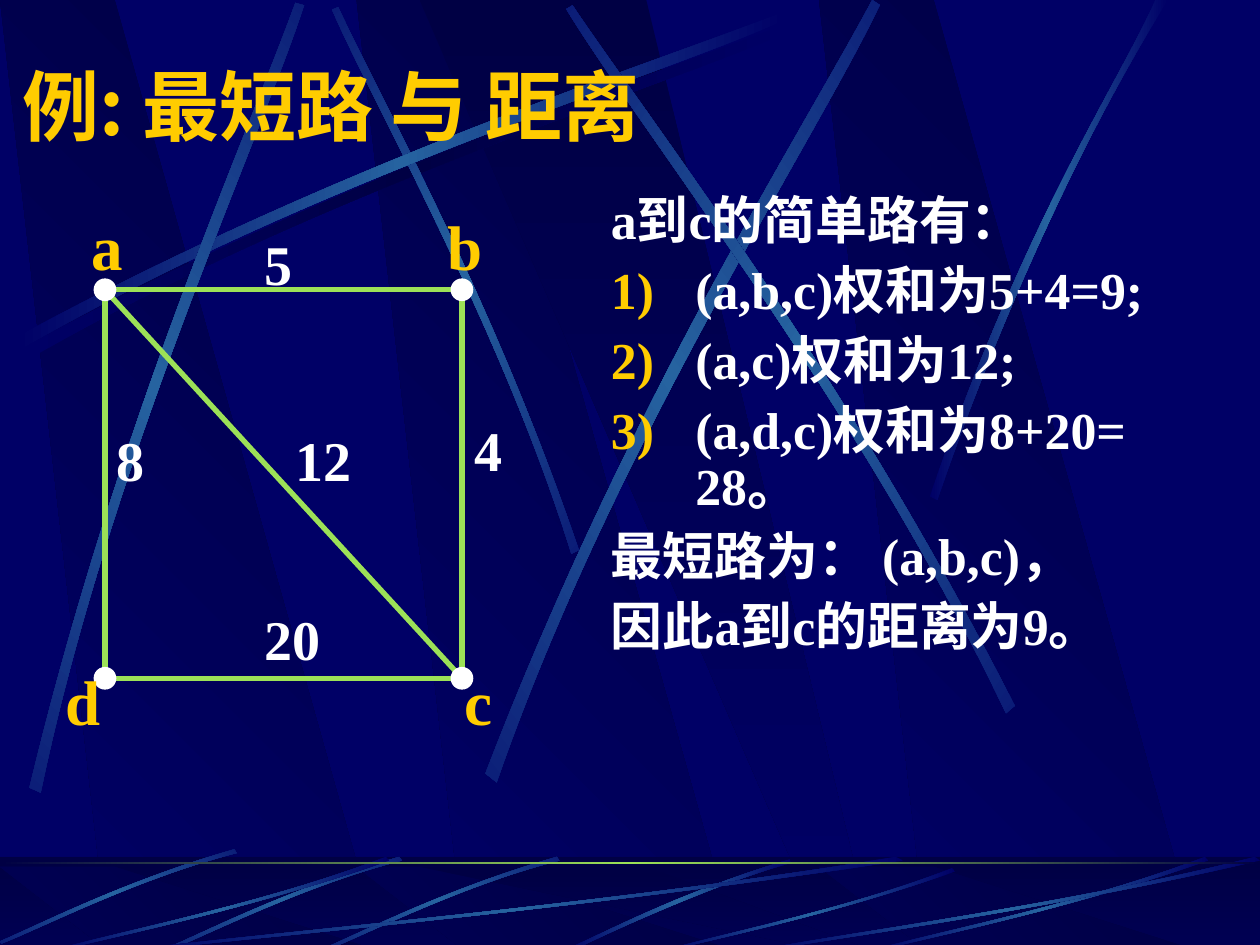
from math import cos, radians, sin

from lxml import etree
from pptx import Presentation
from pptx.dml.color import RGBColor
from pptx.enum.shapes import MSO_CONNECTOR, MSO_SHAPE
from pptx.enum.text import MSO_ANCHOR, MSO_AUTO_SIZE, PP_ALIGN
from pptx.oxml.ns import qn
from pptx.util import Cm, Pt

RECT, OVAL = MSO_SHAPE.RECTANGLE, MSO_SHAPE.OVAL
LINE = MSO_CONNECTOR.STRAIGHT
LEFT, MIDDLE = PP_ALIGN.LEFT, MSO_ANCHOR.MIDDLE
FIXED, GROW = MSO_AUTO_SIZE.NONE, MSO_AUTO_SIZE.SHAPE_TO_FIT_TEXT

HUE = {"base": "000066", "dark": "000044", "ray": "2663A0",
       "lime": "9CE157", "gold": "FFCC00", "white": "FFFFFF"}
SERIF, SANS = "Times New Roman", "Noto Sans CJK SC"
SHADE = ("dark", "base")
GLOW = ("base", "ray", "base")


def cm(inch):
    """Length on the slide's inch grid."""
    return Cm(inch * 2.54)


def turn(dot, hub, angle):
    x, y = dot[0] - hub[0], dot[1] - hub[1]
    c, s = cos(radians(angle)), sin(radians(angle))
    return hub[0] + x * c - y * s, hub[1] + x * s + y * c


class Deck:
    def __init__(self):
        self.prs = Presentation()
        self.prs.slide_width, self.prs.slide_height = cm(10), cm(7.5)
        self.slide = self.prs.slides.add_slide(self.prs.slide_layouts[5])
        self.shapes = self.slide.shapes
        self.flood(self.prs.slide_master.background.fill, "base")

    def flood(self, fill, hue):
        fill.solid()
        fill.fore_color.rgb = RGBColor.from_string(HUE[hue])

    def blend(self, shape, hues, angle):
        shape.shadow.inherit = False
        shape.line.fill.background()
        shape.fill.gradient()
        shape.fill.gradient_angle = 360 - angle
        stops = shape._element.spPr.find(".//" + qn("a:gsLst"))
        for old in list(stops):
            stops.remove(old)
        for i, hue in enumerate(hues):
            pos = str(100000 * i // (len(hues) - 1))
            stop = etree.SubElement(stops, qn("a:gs"), pos=pos)
            etree.SubElement(stop, qn("a:srgbClr"), val=HUE[hue])

    def free(self, dots, hues, angle):
        dots = [(cm(x), cm(y)) for x, y in dots]
        form = self.shapes.build_freeform(*dots[0])
        form.add_line_segments(dots[1:], close=True)
        shape = form.convert_to_shape()
        self.blend(shape, hues, angle)
        return shape

    def streak(self, dots, hues=GLOW, hub=(0, 0), angle=0):
        """A thin sliver between two curves of four points each."""
        shape = self.free([turn(dot, hub, -angle) for dot in dots], hues, 180)
        shape.rotation = angle
        legs = list(shape._element.iter(qn("a:lnTo")))
        for trio in (legs[:3], legs[4:7]):  # three legs become one curve
            bend = etree.Element(qn("a:cubicBezTo"))
            trio[0].addprevious(bend)
            for leg in trio:
                bend.append(leg[0])
                leg.getparent().remove(leg)

    def shape(self, kind, x, y, w, h, fill=None, line=None, wide=1):
        shape = self.shapes.add_shape(kind, cm(x), cm(y), cm(w), cm(h))
        shape.shadow.inherit = False
        for part, hue in ((shape.fill, fill), (shape.line.fill, line)):
            if hue:
                self.flood(part, hue)
            else:
                part.background()
        if line:
            shape.line.width = Pt(wide)
        return shape

    def settle(self):
        """Move the drawn shapes to the master, behind its placeholders."""
        tree = self.prs.slide_master.shapes._spTree
        drawn = [s for s in self.shapes if not s.is_placeholder]
        for i, shape in enumerate(drawn):
            shape._element.nvSpPr.cNvPr.set("id", str(100 + i))
            tree.insert(2 + i, shape._element)

    def link(self, start, end, hue, wide):
        link = self.shapes.add_connector(LINE, *map(cm, start + end))
        self.flood(link.line.fill, hue)
        link.line.width = Pt(wide)
        etree.SubElement(link._element.spPr, qn("a:effectLst"))

    def run(self, para, text, size, hue, face=SERIF):
        run = para.add_run()
        run.text = text
        font = run.font
        font.size, font.bold, font.name = Pt(size), True, face
        font.color.rgb = RGBColor.from_string(HUE[hue])
        etree.SubElement(run._r.rPr, qn("a:ea"), typeface=SANS)

    def title(self, x, y, w, h, text):
        box = self.shapes.title
        box.left, box.top, box.width, box.height = map(cm, (x, y, w, h))
        frame = box.text_frame
        frame.auto_size, frame.vertical_anchor = FIXED, MIDDLE
        para = frame.paragraphs[0]
        para.alignment = LEFT
        self.run(para, text, 44, "gold", SANS)

    def label(self, x, y, w, h, text, size, hue):
        frame = self.shapes.add_textbox(*map(cm, (x, y, w, h))).text_frame
        frame.word_wrap, frame.auto_size = False, GROW
        self.run(frame.paragraphs[0], text, size, hue)

    def body(self, x, y, w, h, items):
        frame = self.shapes.add_textbox(*map(cm, (x, y, w, h))).text_frame
        frame.word_wrap = True
        for i, (text, count) in enumerate(items):
            para = frame.add_paragraph() if i else frame.paragraphs[0]
            props = para._p.get_or_add_pPr()
            props.set("marL", str(cm(0.67)))
            props.set("indent", str(-cm(0.67)))
            if count:
                tint = etree.SubElement(props, qn("a:buClr"))
                etree.SubElement(tint, qn("a:srgbClr"), val=HUE["gold"])
                etree.SubElement(props, qn("a:buAutoNum"), type="arabicParenR")
            para.line_spacing = 0.9
            para.space_before = Pt(8 if i else 0)
            self.run(para, text, 29.6, "white")


def beams(deck, top, low):
    for x in (2.83, 0, 6.5):
        dots = [(x + 0.86, low), (x + 3.02, low), (x + 0.91, top), (x, top)]
        deck.free(dots, SHADE, 135)
    deck.free([(3.33, top), (6.58, low), (6.94, low), (5.13, top)], SHADE, 90)


def backdrop(deck):
    # Broad beams and long streaks
    beams(deck, 0, 7.52)
    arc = [(0.14, 2.67), (2.78, 1.25), (5.18, 0.51), (6.2, 0.1),
           (6.23, 0.16), (5.22, 0.61), (2.48, 1.43), (0.17, 2.77)]
    deck.streak([(x + 0.06, y + 0.08) for x, y in arc], ("base", "dark", "base"))
    deck.streak([(4.6, 4.36), (3.91, 2.34), (3.02, 0.77), (2.69, 0.05),
                 (2.64, 0.07), (2.95, 0.79), (3.98, 2.58), (4.54, 4.39)],
                hub=(3.62, 2.23), angle=45)
    deck.streak(arc)
    deck.streak([(0.23, 6.25), (0.93, 3.34), (1.97, 1.05), (2.34, 0.02),
                 (2.41, 0.04), (2.07, 1.09), (0.86, 3.68), (0.32, 6.29)],
                hub=(1.33, 3.16), angle=311.7)
    deck.streak([(3.85, 6.14), (4.98, 3.2), (6.38, 1.02), (6.92, 0),
                 (6.98, 0.04), (6.49, 1.08), (4.86, 3.55), (3.94, 6.21)],
                hub=(5.43, 3.11), angle=321.6)
    deck.streak([(8.06, 5.6), (6.7, 2.93), (5.16, 0.95), (4.55, 0.04),
                 (4.5, 0.07), (5.07, 1.01), (6.85, 3.25), (7.99, 5.66)],
                hub=(6.27, 2.86), angle=34.8)
    deck.streak([(7.38, 3.94), (8.14, 1.73), (8.88, 0.66), (9.17, 0),
                 (9.27, 0), (8.36, 1.45), (7.69, 3.22), (7.44, 3.97)])

    # Floor with its own beams under a veil
    deck.blend(deck.shape(RECT, 0, 6.8, 10, 0.75), SHADE, 90)
    beams(deck, 6.88, 7.55)
    veil = deck.shape(RECT, 0, 6.8, 10, 0.75, "dark")
    tint = veil._element.spPr.find(".//" + qn("a:srgbClr"))
    etree.SubElement(tint, qn("a:alpha"), val="50000")

    # Floor streaks
    deck.streak([(6.27, 6.82), (5.37, 7.09), (4.77, 7.42), (4.48, 7.54),
                 (4.53, 7.55), (4.9, 7.37), (5.71, 7), (6.28, 6.85)])
    dash = [(4.42, 6.8), (3.55, 7.05), (2.87, 7.4), (2.56, 7.53),
            (2.57, 7.55), (2.88, 7.43), (3.65, 7.03), (4.44, 6.83)]
    for dx, dy in ((0, 0), (-1.25, 0), (-2.56, -0.06)):
        deck.streak([(x + dx, y + dy) for x, y in dash],
                    hub=(3.5 + dx, 7.18 + dy), angle=314.9)
    sweep = [(1, 0.04), (0.57, 0.57), (0.17, 0.85), (0.01, 1),
             (0, 0.99), (0.17, 0.81), (0.62, 0.51), (0.99, 0)]
    for x, y, w in ((1, 6.8, 6.17), (0.42, 6.8, 2.67), (5.27, 6.89, 2.31),
                    (6.92, 6.8, 2.67), (6, 6.8, 4)):
        deck.streak([(x + w * u, y + (7.55 - y) * v) for u, v in sweep])
    deck.blend(deck.shape(RECT, 0, 6.84, 10, 0.02), ("dark", "lime", "dark"), 180)
    deck.settle()


def graph(deck):
    # Edges
    x, y, w, h = 5 / 6, 2.3, 17 / 6, 37 / 12
    deck.shape(RECT, x, y, w, h, line="lime", wide=3)
    deck.link((x, y), (x + w, y + h), "lime", 3)
    # Nodes
    size = 0.17
    for left in (x, x + w):
        for top in (y, y + h):
            deck.shape(OVAL, left - size / 2, top - size / 2, size, size,
                       "white", "white", 0.75)
    # Names and weights
    for text, left, top in (("a", 0.63, 1.6), ("b", 3.45, 1.6),
                            ("c", 3.59, 5.21), ("d", 0.42, 5.21)):
        deck.label(left, top, 0.46, 0.7, text, 36, "gold")
    for text, left, top in (("5", 2, 1.77), ("12", 2.25, 3.33), ("4", 3.67, 3.25),
                            ("8", 0.83, 3.33), ("20", 2, 4.75)):
        deck.label(left, top, 0.2 + 0.23 * len(text), 0.64, text, 32, "white")


def main():
    deck = Deck()
    backdrop(deck)
    deck.title(0.08, 0.41, 8.92, 0.84, "例: 最短路 与 距离")
    deck.body(4.75, 1.5, 4.92, 4.83, [
        ("a到c的简单路有：", False),
        ("(a,b,c)权和为5+4=9;", True),
        ("(a,c)权和为12;", True),
        ("(a,d,c)权和为8+20= 28。", True),
        ("最短路为： (a,b,c)，", False),
        ("因此a到c的距离为9。", False)])
    graph(deck)
    deck.prs.save("out.pptx")


if __name__ == "__main__":
    main()
